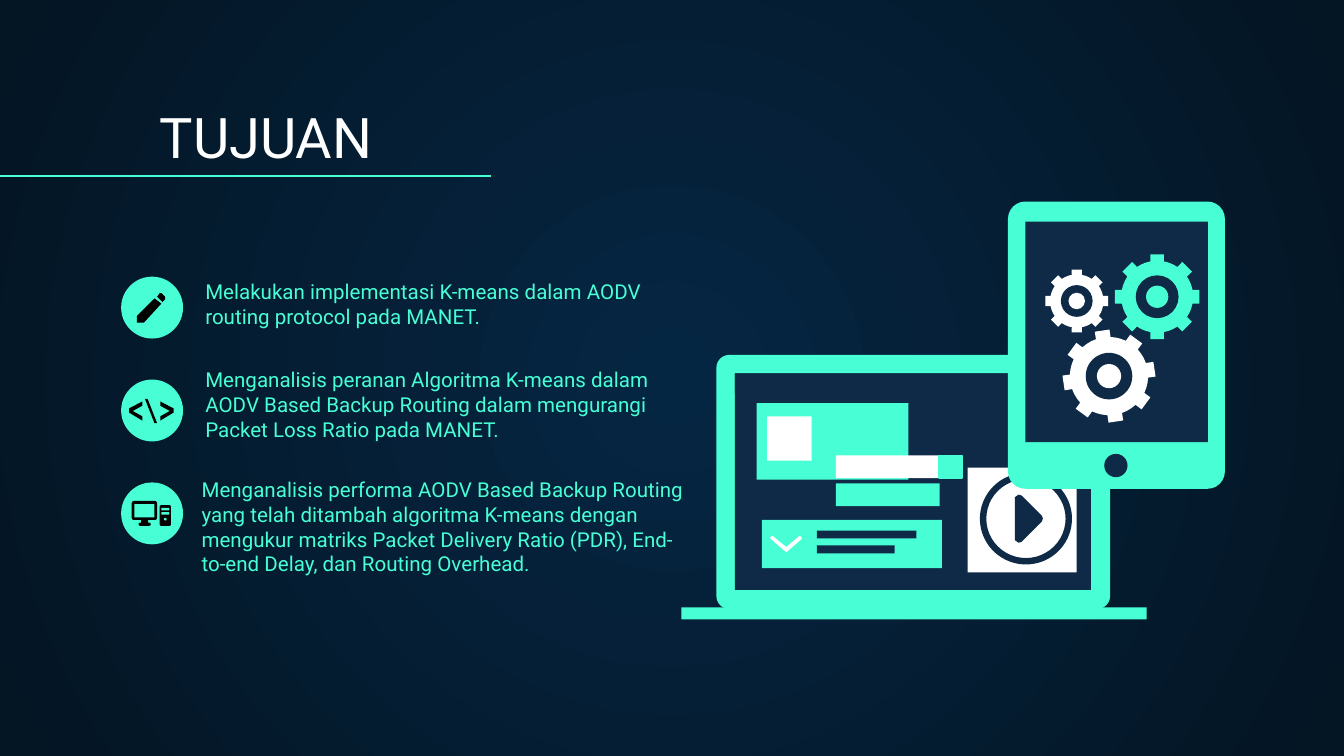
from math import cos, pi, sin

from lxml.etree import SubElement
from pptx import Presentation
from pptx.dml.color import RGBColor
from pptx.enum.shapes import MSO_CONNECTOR, MSO_SHAPE
from pptx.enum.text import MSO_ANCHOR
from pptx.oxml.ns import qn
from pptx.util import Cm, Pt

MINT, NAVY, WHITE, BLACK = "48FFD5", "0E2A47", "FFFFFF", "000000"
RECT, ROUND = MSO_SHAPE.RECTANGLE, MSO_SHAPE.ROUNDED_RECTANGLE
OVAL, RING = MSO_SHAPE.OVAL, MSO_SHAPE.DONUT
rgb = RGBColor.from_string

deck = Presentation()
deck.slide_width, deck.slide_height = Cm(25.4), Cm(14.29)
slide = deck.slides.add_slide(deck.slide_layouts[6])
shapes = slide.shapes

back = slide.background.fill
back.gradient()
for stop, tone in zip(back.gradient_stops, ("052643", "041523")):
    stop.color.rgb = rgb(tone)
grad = slide.background._cSld.find(".//" + qn("a:gradFill"))
grad.remove(grad.find(qn("a:lin")))
focus = SubElement(grad, qn("a:path"), path="circle")
SubElement(focus, qn("a:fillToRect"), l="50000", t="50000", r="50000", b="50000")


def draw(kind, tone, x, y, w, h, bend=None):
    form = shapes.add_shape(kind, Cm(x), Cm(y), Cm(w), Cm(h))
    form.shadow.inherit = False
    form.fill.solid()
    form.fill.fore_color.rgb = rgb(tone)
    form.line.fill.background()
    if bend is not None:
        form.adjustments[0] = bend
    return form


def trace(tone, dots):
    dots = [(Cm(x), Cm(y)) for x, y in dots]
    pen = shapes.build_freeform(*dots[0])
    pen.add_line_segments(dots[1:], close=True)
    form = pen.convert_to_shape()
    form.shadow.inherit = False
    form.fill.solid()
    form.fill.fore_color.rgb = rgb(tone)
    form.line.fill.background()


texts = [
    ("TUJUAN", 2.77, 1.78, 21.77, 1.68, 30, WHITE, 0.25),
    ("Melakukan implementasi K-means dalam AODV routing protocol pada MANET.",
     3.63, 5.84, 8.92, 1.07, 11, MINT, 0.72),
    ("Menganalisis peranan Algoritma K-means dalam AODV Based Backup Routing "
     "dalam mengurangi Packet Loss Ratio pada MANET.",
     3.63, 7.54, 9.04, 1.52, 11, MINT, 0.72),
    ("Menganalisis performa AODV Based Backup Routing yang telah ditambah "
     "algoritma K-means dengan mengukur matriks Packet Delivery Ratio (PDR), "
     "End-to-end Delay, dan Routing Overhead.",
     3.56, 9.93, 9.73, 1.68, 11, MINT, 0.72),
]
for words, x, y, w, h, size, tone, low in texts:
    frame = shapes.add_textbox(Cm(x), Cm(y), Cm(w), Cm(h)).text_frame
    frame.word_wrap = True
    frame.vertical_anchor = MSO_ANCHOR.BOTTOM
    frame.margin_left = frame.margin_right = frame.margin_top = Cm(0.25)
    frame.margin_bottom = Cm(low)
    para = frame.paragraphs[0]
    para.text = words
    para.font.name, para.font.size = "Roboto", Pt(size)
    para.font.color.rgb = rgb(tone)

rule = shapes.add_connector(MSO_CONNECTOR.STRAIGHT, 0, Cm(3.33), Cm(9.27), Cm(3.33))
rule.line.color.rgb = rgb(MINT)
rule.line.width = Pt(0.75)
SubElement(rule._element.spPr, qn("a:effectLst"))

for row in range(3):
    draw(OVAL, MINT, 2.29, 5.23 + 1.945 * row, 1.17, 1.17)

trace(BLACK, [(2.92, 5.64), (2.59, 5.97), (2.59, 6.1), (2.72, 6.1), (3.05, 5.74)])
trace(BLACK, [(3.02, 5.54), (2.97, 5.61), (3.07, 5.71), (3.12, 5.66),
              (3.12, 5.61), (3.05, 5.54)])

angle = [(2.69, 7.95), (2.44, 7.8), (2.44, 7.72), (2.69, 7.59),
         (2.69, 7.67), (2.51, 7.77), (2.69, 7.87)]
trace(BLACK, angle)
trace(BLACK, [(2.92, 8), (2.74, 7.54), (2.79, 7.54), (2.97, 8)])
trace(BLACK, [(5.72 - x, y) for x, y in angle])

draw(ROUND, BLACK, 2.49, 9.47, 0.48, 0.36, 0.12)
draw(RECT, MINT, 2.54, 9.53, 0.38, 0.25)
draw(RECT, BLACK, 2.67, 9.82, 0.13, 0.08)
draw(ROUND, BLACK, 2.62, 9.88, 0.23, 0.06, 0.5)
draw(ROUND, BLACK, 3.02, 9.55, 0.21, 0.39, 0.12)
for y in (9.6, 9.68):
    draw(ROUND, MINT, 3.05, y, 0.15, 0.05, 0.3)
draw(OVAL, MINT, 3.1, 9.79, 0.05, 0.05)

draw(ROUND, MINT, 13.54, 6.71, 7.44, 4.8, 0.05)
draw(RECT, NAVY, 13.89, 7.06, 6.73, 4.09)
draw(RECT, MINT, 12.88, 11.48, 8.79, 0.23)
draw(RECT, NAVY, 13.89, 7.06, 6.73, 0.38)
draw(RECT, MINT, 14.3, 7.62, 2.87, 1.45)
draw(RECT, WHITE, 14.5, 7.87, 0.84, 0.84)
draw(RECT, MINT, 15.29, 9.83, 2.51, 0.91)
draw(RECT, NAVY, 15.44, 10.03, 1.88, 0.15)
draw(RECT, NAVY, 15.44, 10.31, 1.47, 0.15)
draw(RECT, MINT, 14.4, 9.83, 0.89, 0.91)
trace(WHITE, [(14.6, 10.13), (14.86, 10.34), (15.11, 10.13), (15.16, 10.16),
              (15.14, 10.2), (14.86, 10.44), (14.58, 10.2), (14.55, 10.16)])
draw(RECT, MINT, 15.8, 9.14, 1.96, 0.43)
draw(RECT, WHITE, 15.8, 8.61, 1.96, 0.43)
knob = draw(RECT, MINT, 17.75, 8.61, 0.43, 0.43)
knob.line.color.rgb = rgb(MINT)
knob.line.width = Pt(0.75)
draw(RECT, WHITE, 18.29, 8.84, 2.06, 1.98)
draw(RING, NAVY, 18.52, 8.94, 1.74, 1.73, 0.07)
trace(NAVY, [(19.18, 9.4), (19.25, 9.35), (19.31, 9.37), (19.69, 9.75), (19.71, 9.8),
             (19.69, 9.86), (19.31, 10.24), (19.25, 10.26), (19.18, 10.21)])

draw(ROUND, MINT, 19.05, 3.81, 4.1, 5.43, 0.08)
draw(RECT, NAVY, 19.38, 4.19, 3.45, 4.17)
draw(OVAL, NAVY, 20.87, 8.58, 0.44, 0.44)

tooth = [(-0.19, 0.84), (-0.16, 1), (0.16, 1), (0.19, 0.84), (0.32, 0.84), (0.46, 0.84)]
gears = [(MINT, 21.87, 5.61, 0.81, 0), (WHITE, 20.35, 5.69, 0.6, 0),
         (WHITE, 20.96, 7.11, 0.88, -0.15)]
for tone, x, y, size, tilt in gears:
    trace(tone, [(x + size * far * sin(tilt + step * pi / 4 + turn),
                  y - size * far * cos(tilt + step * pi / 4 + turn))
                 for step in range(8) for turn, far in tooth])
    for fill, part in ((NAVY, 0.5), (tone, 0.26)):
        rad = size * part
        draw(OVAL, fill, x - rad, y - rad, 2 * rad, 2 * rad)

deck.save("out.pptx")
